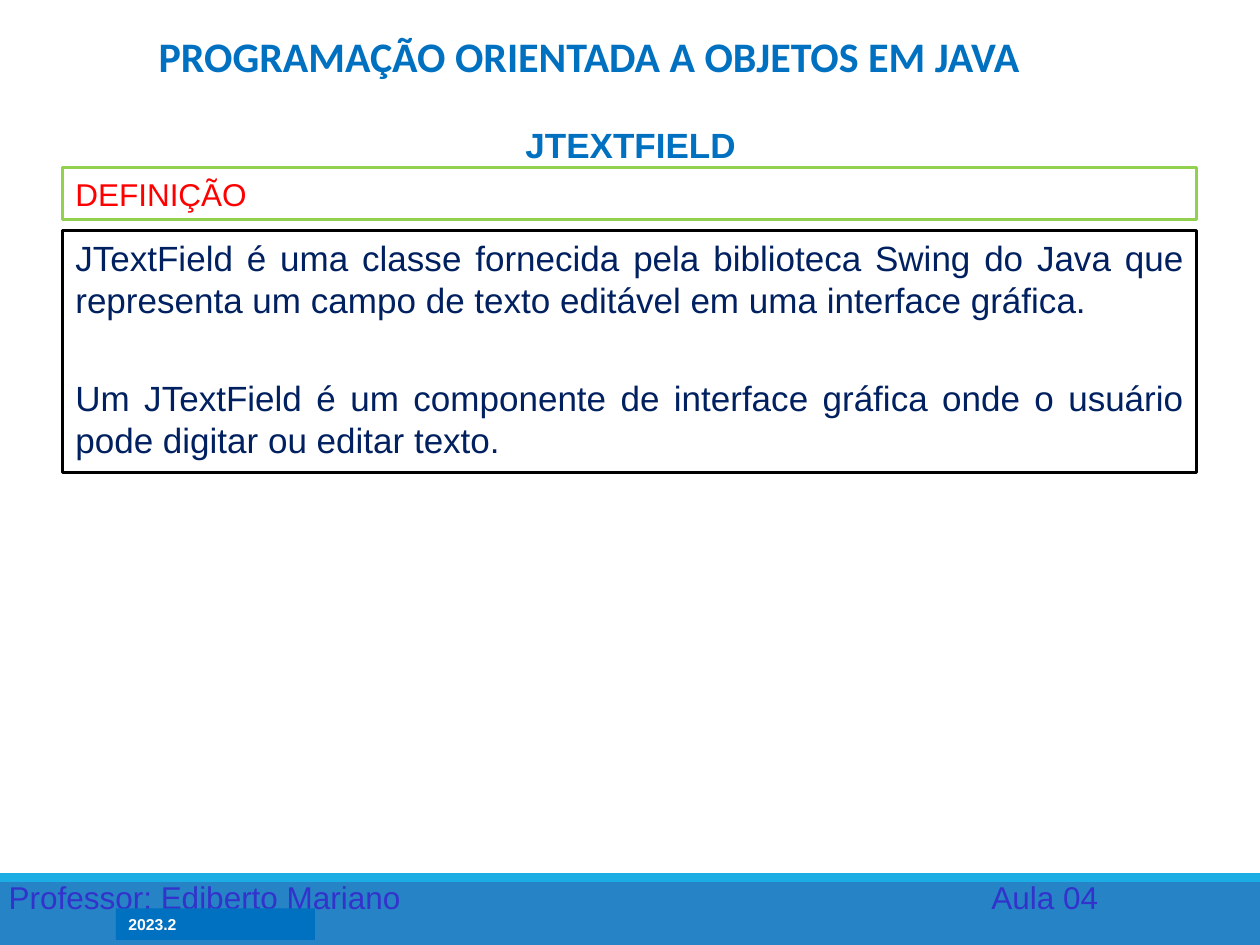
from dataclasses import dataclass

from lxml import etree
from pptx import Presentation
from pptx.dml.color import RGBColor
from pptx.enum.shapes import MSO_SHAPE
from pptx.enum.text import MSO_ANCHOR as Anchor, PP_ALIGN as Align
from pptx.oxml.ns import qn
from pptx.util import Inches, Pt


@dataclass(frozen=True)
class Theme:
    body_font: str = "Arial"
    title_font: str = "Calibri"
    blue: str = "0070C0"
    footer_blue: str = "2683C6"
    strip_blue: str = "1CADE4"
    footer_text: str = "3333CC"
    navy: str = "002060"
    red: str = "FF0000"
    green: str = "92D050"
    black: str = "000000"
    white: str = "FFFFFF"
    title_size: int = 24
    body_size: int = 20
    label_size: int = 18
    term_size: int = 9
    border: float = 1.75
    leading: float = 1.2
    paragraph_gap: int = 32


THEME = Theme()


def color(value):
    return RGBColor.from_string(value)


def add_box(slide, bounds, fill, line=None):
    shape = slide.shapes.add_shape(MSO_SHAPE.RECTANGLE, *map(Inches, bounds))
    shape.shadow.inherit = False
    shape.fill.solid()
    shape.fill.fore_color.rgb = color(fill)
    if line:
        shape.line.color.rgb = color(line)
        shape.line.width = Pt(THEME.border)
    else:
        shape.line.fill.background()
    return shape


def add_text_box(slide, bounds):
    return slide.shapes.add_textbox(*map(Inches, bounds))


def write(shape, texts, size, text_color, align=Align.LEFT, font=THEME.body_font,
          bold=False, anchor=Anchor.TOP, leading=None):
    frame = shape.text_frame
    frame.word_wrap = True
    frame.vertical_anchor = anchor
    for index, text in enumerate(texts):
        paragraph = frame.add_paragraph() if index else frame.paragraphs[0]
        paragraph.text = text
        paragraph.alignment = align
        if leading:
            paragraph.line_spacing = Pt(size * leading)
        if index:
            paragraph.space_before = Pt(THEME.paragraph_gap)
        paragraph.font.name = font
        paragraph.font.size = Pt(size)
        paragraph.font.bold = bold
        paragraph.font.color.rgb = color(text_color)


def add_tab_stop(paragraph, position):
    properties = paragraph._p.get_or_add_pPr()
    tabs = etree.SubElement(properties, qn("a:tabLst"))
    etree.SubElement(tabs, qn("a:tab"), pos=str(Inches(position)), algn="l")


def add_footer(slide):
    add_box(slide, (0, 6.93, 10, 0.57), THEME.footer_blue)
    add_box(slide, (0, 6.93, 10, 0.07), THEME.strip_blue)
    credits = add_text_box(slide, (-0.03, 6.92, 9, 0.4))
    add_tab_stop(credits.text_frame.paragraphs[0], 7.8)
    write(credits, ["Professor: Ediberto Mariano\tAula 04"], THEME.label_size, THEME.footer_text)
    term = add_box(slide, (0.92, 7.21, 1.58, 0.25), THEME.blue)
    write(term, ["2023.2"], THEME.term_size, THEME.white, bold=True)


def add_headings(slide):
    topic = add_text_box(slide, (0.67, 0.93, 8.67, 0.44))
    write(topic, ["JTEXTFIELD"], THEME.body_size, THEME.blue, Align.CENTER,
          bold=True, anchor=Anchor.MIDDLE, leading=THEME.leading)
    title = add_text_box(slide, (1.03, 0.17, 7.29, 0.52))
    write(title, ["PROGRAMAÇÃO ORIENTADA A OBJETOS EM JAVA"], THEME.title_size, THEME.blue,
          Align.CENTER, THEME.title_font, bold=True, anchor=Anchor.BOTTOM)


def add_definition(slide):
    label = add_box(slide, (0.5, 1.33, 9, 0.41), THEME.white, THEME.green)
    write(label, ["DEFINIÇÃO"], THEME.label_size, THEME.red, Align.JUSTIFY,
          anchor=Anchor.MIDDLE, leading=THEME.leading)
    definition = add_box(slide, (0.5, 1.83, 9, 1.92), THEME.white, THEME.black)
    write(definition, [
        "JTextField é uma classe fornecida pela biblioteca Swing do Java que "
        "representa um campo de texto editável em uma interface gráfica.",
        "Um JTextField é um componente de interface gráfica onde o usuário "
        "pode digitar ou editar texto.",
    ], THEME.body_size, THEME.navy, Align.JUSTIFY, leading=THEME.leading)


def main():
    presentation = Presentation()
    presentation.slide_width = Inches(10)
    presentation.slide_height = Inches(7.5)
    slide = presentation.slides.add_slide(presentation.slide_layouts[6])
    add_footer(slide)
    add_headings(slide)
    add_definition(slide)
    presentation.save("out.pptx")


if __name__ == "__main__":
    main()
